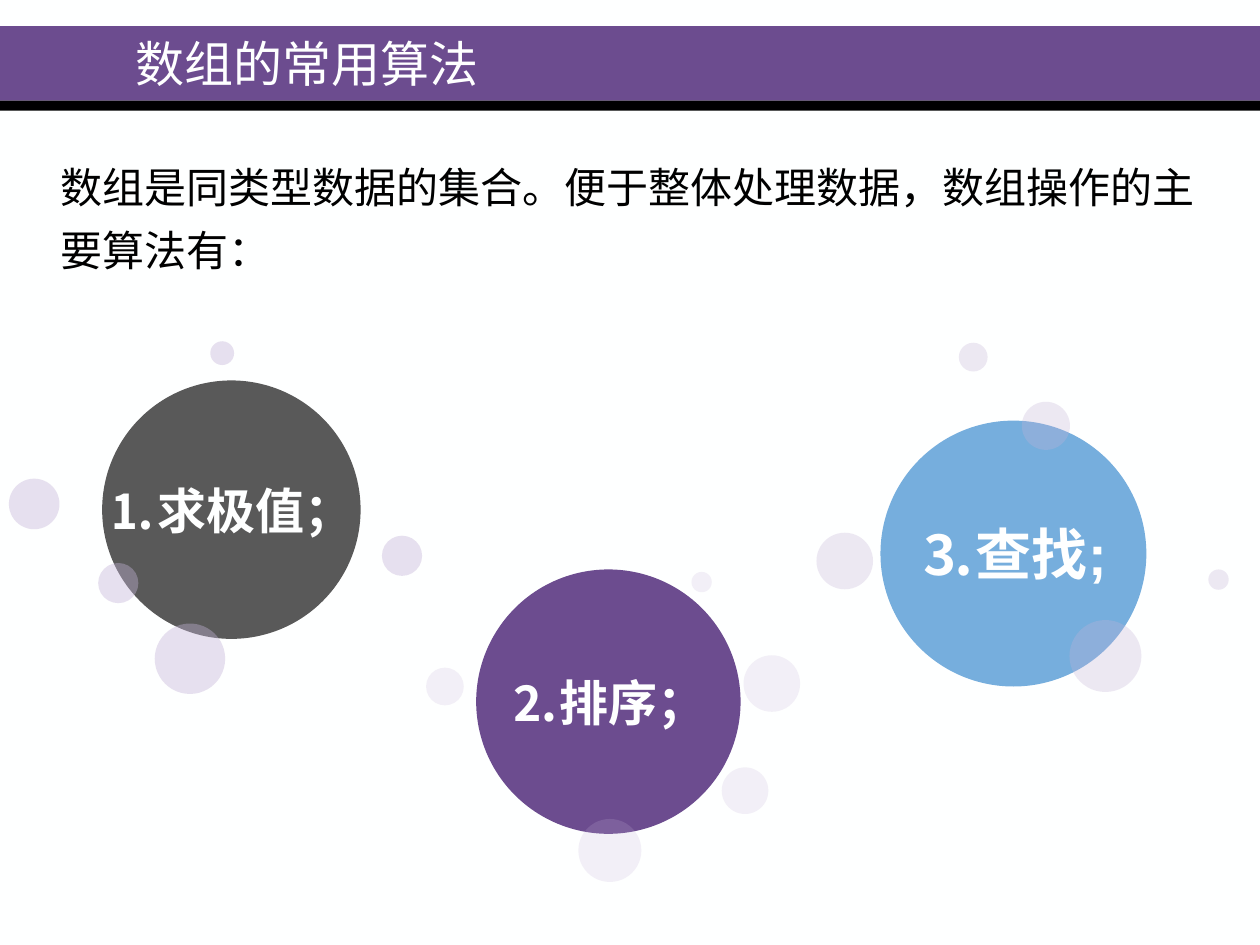
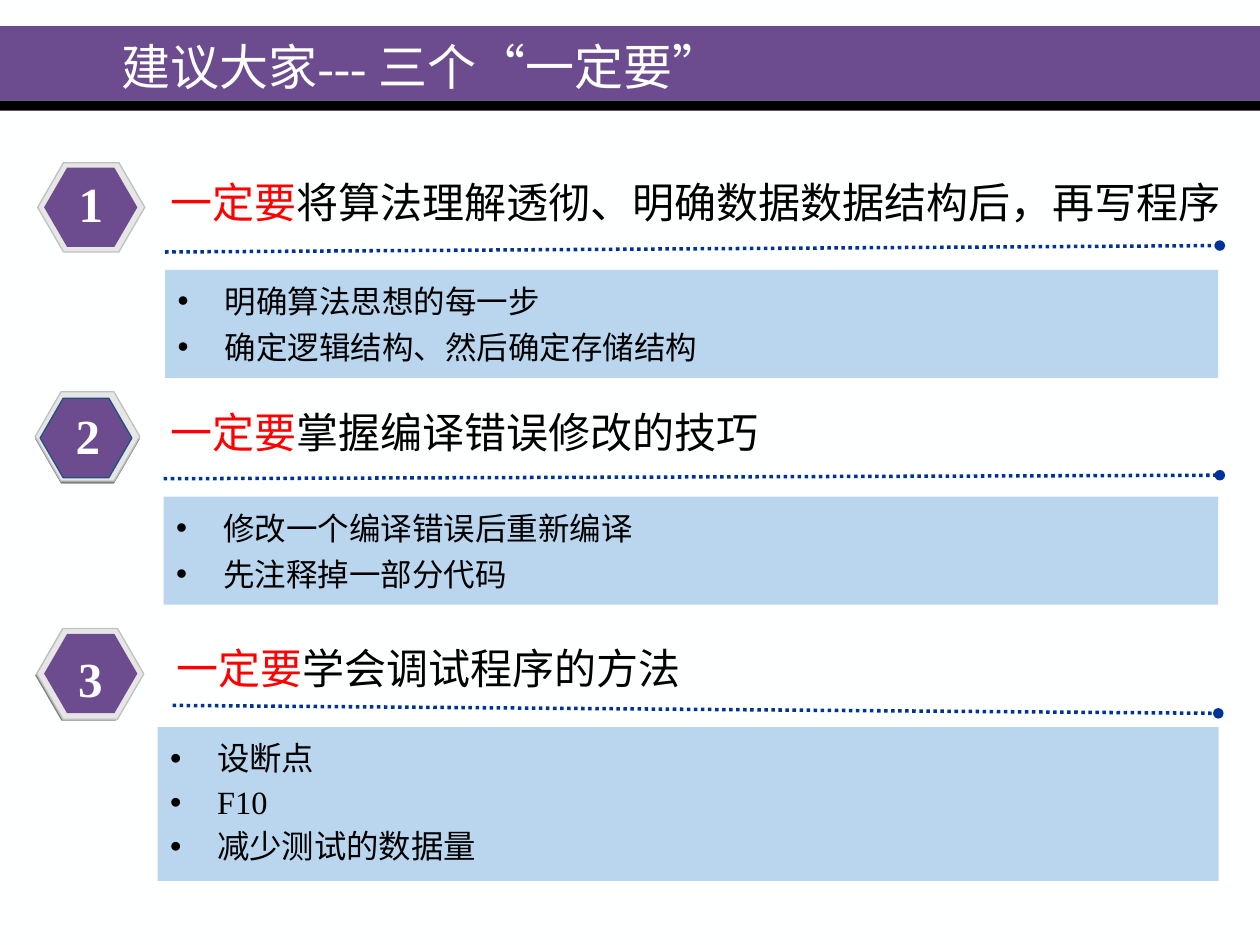
import pptx
import pptx.dml.color
import pptx.enum.dml
import pptx.enum.shapes
import pptx.enum.text
import pptx.oxml
import pptx.oxml.ns
import pptx.util

Cm = pptx.util.Cm
Pt = pptx.util.Pt
SHAPE = pptx.enum.shapes.MSO_SHAPE
ALIGN = pptx.enum.text.PP_ALIGN
ANCHOR = pptx.enum.text.MSO_ANCHOR
qn = pptx.oxml.ns.qn

WIDTH = 25.4
PURPLE, BLACK, WHITE, RED = "6C4C8F", "000000", "FEFFFF", "FF0000"
LILAC, PANEL_BLUE, RULE_BLUE = "C4B3D7", "BAD6EE", "003399"
SERIF, SANS = "Times New Roman", "Arial"


def rgb(value):
    return pptx.dml.color.RGBColor.from_string(value)


def add_xml(parent, tag, **attributes):
    child = parent.makeelement(qn(tag), attributes)
    parent.append(child)
    return child


def add_shape(slide, kind, box, fill, line=None, alpha=None):
    sp = slide.shapes.add_shape(kind, *map(Cm, box))
    sp.shadow.inherit = False
    sp.fill.solid()
    sp.fill.fore_color.rgb = rgb(fill)
    if alpha is not None:
        color = sp.fill._xPr.find(qn("a:solidFill"))[0]
        add_xml(color, "a:alpha", val=str(alpha * 1000))
    if line:
        sp.line.color.rgb = rgb(line)
        sp.line.width = Pt(0.75)
    else:
        sp.line.fill.background()
    return sp


def format_runs(p, size, color, font=SERIF, bold=False):
    for r in p.runs:
        r.font.size = Pt(size)
        r.font.name = font
        r.font.bold = bold
        r.font.color.rgb = rgb(color)


def add_text(slide, box, text, size, color, before=0, anchor=ANCHOR.TOP, bold=False):
    sp = slide.shapes.add_textbox(*map(Cm, box))
    tf = sp.text_frame
    tf.word_wrap = True
    tf.vertical_anchor = anchor
    tf.text = text
    p = tf.paragraphs[0]
    p.space_before = Pt(before)
    format_runs(p, size, color, bold=bold)
    return p


def add_slide(prs, title, title_box):
    slide = prs.slides.add_slide(prs.slide_layouts[6])
    slide.background.fill.solid()
    slide.background.fill.fore_color.rgb = rgb(WHITE)
    add_shape(slide, SHAPE.RECTANGLE, (0, 0.53, WIDTH, 1.5), PURPLE)
    add_shape(slide, SHAPE.RECTANGLE, (0, 2.03, WIDTH, 0.2), BLACK)
    add_text(slide, title_box, title, 28, WHITE, anchor=ANCHOR.MIDDLE)
    return slide


def add_circle(slide, left, top, diameter, fill, alpha=None):
    box = (left, top, diameter, diameter)
    return add_shape(slide, SHAPE.OVAL, box, fill, alpha=alpha)


def add_bubble(slide, label, size, circle, fill, alpha, satellites):
    tf = add_circle(slide, *circle, fill).text_frame
    tf.margin_left = tf.margin_right = tf.margin_top = tf.margin_bottom = 0
    tf.word_wrap = False
    tf.vertical_anchor = ANCHOR.MIDDLE
    tf.text = label
    p = tf.paragraphs[0]
    p.alignment = ALIGN.CENTER
    p.space_before = Pt(size / 4)
    format_runs(p, size, WHITE, SANS, True)
    for satellite in satellites:
        add_circle(slide, *satellite, LILAC, alpha)


def add_hexagon(slide, box, fill, line=None):
    sp = add_shape(slide, SHAPE.HEXAGON, box, fill, line)
    sp.adjustments[0] = 0.29


def add_badge(slide, number, frame, face, number_at, shadow_at=None, edge=None):
    if shadow_at:
        add_hexagon(slide, (*shadow_at, *frame[2:]), "808080")
    add_hexagon(slide, frame, "E6E6E6", "C0C0C0")
    add_hexagon(slide, face, PURPLE, edge)
    p = add_text(slide, (*number_at, 1, 1.45), str(number), 28, "FFFFFF", 7, bold=True)
    p.alignment = ALIGN.CENTER


def add_rule(slide, ends):
    straight = pptx.enum.shapes.MSO_CONNECTOR.STRAIGHT
    cxn = slide.shapes.add_connector(straight, *map(Cm, ends))
    cxn.line.color.rgb = rgb(RULE_BLUE)
    cxn.line.width = Pt(2)
    cxn.line.dash_style = pptx.enum.dml.MSO_LINE.ROUND_DOT
    add_xml(cxn.line._ln, "a:tailEnd", type="oval")
    add_xml(cxn._element.spPr, "a:effectLst")


def add_heading(slide, left, top, text):
    p = add_text(slide, (left, top, 21.97, 1.27), "一定要", 24, RED, 6)
    r = p.add_run()
    r.text = text
    format_runs(p, 24, BLACK)
    p.runs[0].font.color.rgb = rgb(RED)


def add_panel(slide, box, items, size, before, spacing):
    tf = add_shape(slide, SHAPE.RECTANGLE, box, PANEL_BLUE).text_frame
    tf.word_wrap = True
    tf.vertical_anchor = ANCHOR.MIDDLE
    tf.text = "\n".join(items)
    indent = Cm(0.95)
    for p in tf.paragraphs:
        p.alignment = ALIGN.LEFT
        p.line_spacing = spacing
        p.space_before = Pt(before)
        pPr = p._p.get_or_add_pPr()
        pPr.set("marL", str(indent))
        pPr.set("indent", str(-indent))
        add_xml(add_xml(pPr, "a:buClr"), "a:srgbClr", val=BLACK)
        add_xml(pPr, "a:buFont", typeface=SANS)
        add_xml(pPr, "a:buChar", char="•")
        format_runs(p, size, BLACK)


def add_advice(slide, number, badge, heading, rule, panel, items,
               size=18, before=4.5, spacing=1.0):
    add_badge(slide, number, **badge)
    add_rule(slide, rule)
    add_heading(slide, *heading)
    add_panel(slide, panel, items, size, before, spacing)


def build_algorithms(prs):
    slide = add_slide(prs, "数组的常用算法", (2.49, 0.48, 11.51, 1.57))
    intro = "数组是同类型数据的集合。便于整体处理数据，数组操作的主要算法有："
    p = add_text(slide, (0.97, 2.87, 23.8, 2.79), intro, 24, BLACK, 6)
    p.line_spacing = 1.25
    add_bubble(slide, "⒉排序；", 28, (9.6, 11.48, 5.33), PURPLE, 20, [
        (8.59, 13.46, 0.76), (11.66, 16.51, 1.27), (13.94, 11.53, 0.41),
        (14.55, 15.47, 0.94), (14.99, 13.21, 1.14)])
    add_bubble(slide, "⒊查找;", 32, (17.75, 8.48, 5.36), "76AEDD", 30, [
        (16.46, 10.74, 1.14), (19.33, 6.91, 0.58), (21.56, 12.5, 1.45),
        (24.36, 11.48, 0.41), (20.6, 8.1, 0.97)])
    add_bubble(slide, "⒈求极值；", 28, (2.06, 7.67, 5.21), "595959", 40, [
        (7.7, 10.8, 0.81), (1.98, 11.35, 0.81), (3.12, 12.57, 1.42),
        (4.24, 6.88, 0.48), (0.18, 9.65, 1.02)])


def build_advice(prs):
    slide = add_slide(prs, "建议大家--- 三个“一定要”", (2.21, 0.53, 23, 1.6))
    add_advice(
        slide, 1,
        dict(frame=(0.76, 3.28, 2.16, 1.8), face=(0.89, 3.38, 1.88, 1.6),
             number_at=(1.33, 3.38)),
        (3.18, 3.43, "将算法理解透彻、明确数据数据结构后，再写程序"),
        (3.33, 5.08, 24.59, 4.95), (3.33, 5.44, 21.23, 2.18),
        ["明确算法思想的每一步", "确定逻辑结构、然后确定存储结构"])
    add_advice(
        slide, 2,
        dict(frame=(0.71, 7.9, 2.11, 1.8), face=(0.81, 8.03, 1.85, 1.6),
             number_at=(1.27, 8.05), shadow_at=(0.71, 7.95), edge="1F5281"),
        (3.18, 8.08, "掌握编译错误修改的技巧"),
        (3.3, 9.65, 24.59, 9.58), (3.3, 10.01, 21.26, 2.18),
        ["修改一个编译错误后重新编译", "先注释掉一部分代码"])
    add_advice(
        slide, 3,
        dict(frame=(0.74, 12.67, 2.16, 1.83), face=(0.89, 12.78, 1.88, 1.6),
             number_at=(1.32, 12.95), shadow_at=(0.71, 12.7)),
        (3.3, 12.83, "学会调试程序的方法"),
        (3.48, 14.22, 24.56, 14.38), (3.18, 14.66, 21.39, 3.1),
        ["设断点", "F10", "减少测试的数据量"], 18.5, 5, 0.9)


def main():
    prs = pptx.Presentation()
    prs.slide_width = Cm(WIDTH)
    prs.slide_height = Cm(19.05)
    build_algorithms(prs)
    build_advice(prs)
    prs.save("out.pptx")


if __name__ == "__main__":
    main()
